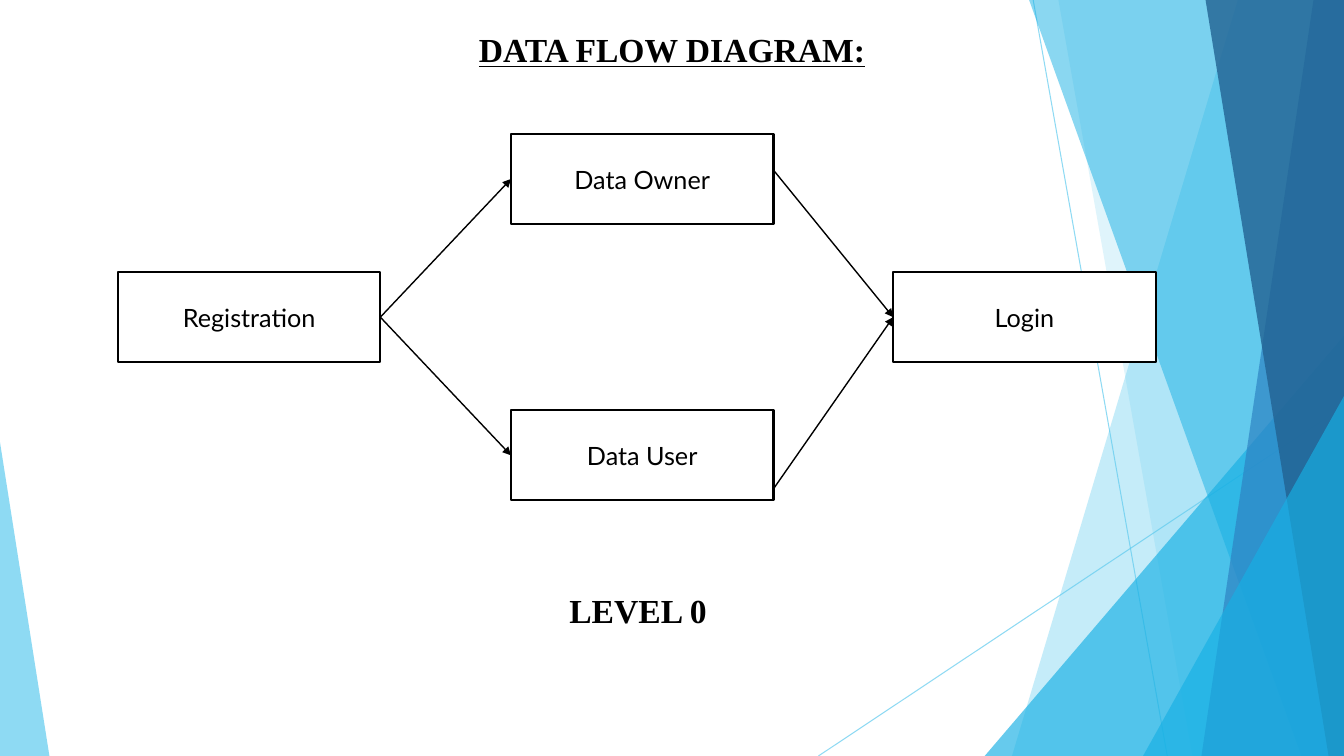
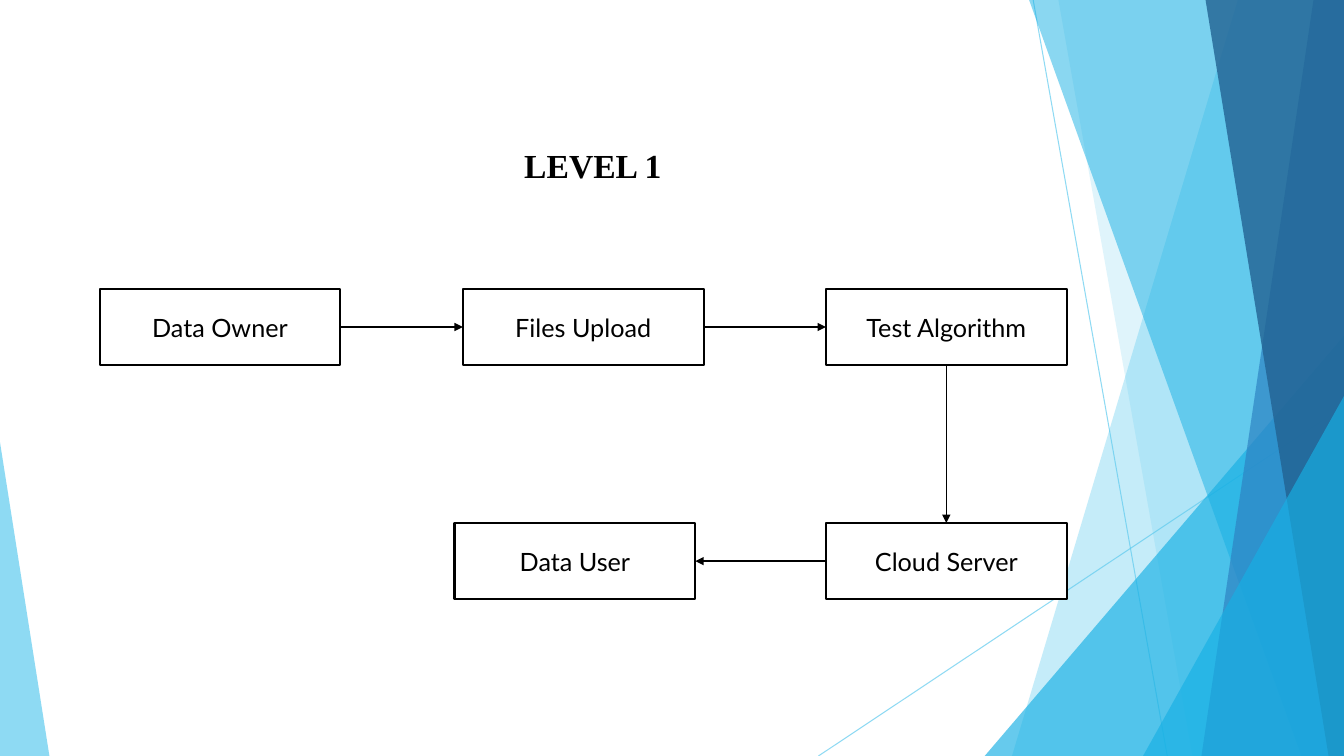
from lxml import etree
from pptx import Presentation
from pptx.dml.color import RGBColor
from pptx.enum.shapes import MSO_CONNECTOR, MSO_SHAPE
from pptx.enum.text import MSO_ANCHOR, MSO_AUTO_SIZE, PP_ALIGN
from pptx.oxml.ns import qn
from pptx.util import Pt

STRAIGHT = MSO_CONNECTOR.STRAIGHT
RECTANGLE, TRIANGLE = MSO_SHAPE.RECTANGLE, MSO_SHAPE.ISOSCELES_TRIANGLE
MIDDLE, GROW = MSO_ANCHOR.MIDDLE, MSO_AUTO_SIZE.SHAPE_TO_FIT_TEXT
LEFT, CENTER = PP_ALIGN.LEFT, PP_ALIGN.CENTER
SIDE_TOP, SIDE_LEFT, SIDE_BOTTOM, SIDE_RIGHT = range(4)

WIDTH, HEIGHT = 960, 540
BLACK, WHITE = "000000", "FFFFFF"
SKY, CYAN, BLUE, NAVY = "5FCBEF", "17B0E4", "2E83C3", "226292"
HEADING_FONT, BOX_FONT = "Times New Roman", "Lato"


def paint(fill, colour):
    fill.solid()
    fill.fore_color.rgb = RGBColor.from_string(colour)


def add_line(slide, start, end, colour, width):
    line = slide.shapes.add_connector(STRAIGHT, *[Pt(value) for value in (*start, *end)])
    paint(line.line.fill, colour)
    line.line.width = Pt(width)
    etree.SubElement(line.element.spPr, qn("a:effectLst"))
    return line


presentation = Presentation()
presentation.slide_width, presentation.slide_height = Pt(WIDTH), Pt(HEIGHT)
layout = presentation.slide_layouts[6]
for placeholder in list(layout.placeholders):
    layout.shapes.element.remove(placeholder.element)
first_slide = presentation.slides.add_slide(layout)
second_slide = presentation.slides.add_slide(layout)

# Shared decoration: thin lines, then facets from back to front
decoration = []
for start, end in [((738, 0), (833.8, HEIGHT)), ((WIDTH, 290.2), (584.6, HEIGHT))]:
    decoration.append((add_line(first_slide, start, end, SKY, 0.75), 70))

# A band gives its left edge at top and bottom; a triangle gives left, top, width, apex
facets = [
    (SKY, 36, (884.2, 722.9)),
    (SKY, 20, (756, 851.8)),
    (CYAN, 66, (703.4, 239.8, 256.6, 1)),
    (CYAN, 50, (735.1, 929.5)),
    (BLUE, 70, (938.2, 858.2)),
    (NAVY, 80, (861.1, 949)),
    (CYAN, 66, (816.5, 283, 143.5, 1)),
    (SKY, 70, (0, 316, 35.3, 0)),
]
for colour, opacity, geometry in facets:
    if len(geometry) == 2:
        top_x, bottom_x = geometry
        builder = first_slide.shapes.build_freeform(Pt(top_x), 0)
        corners = [(WIDTH, 0), (WIDTH, HEIGHT), (bottom_x, HEIGHT)]
        builder.add_line_segments([(Pt(x), Pt(y)) for x, y in corners])
        facet = builder.convert_to_shape()
    else:
        left, top, width, apex = geometry
        facet = first_slide.shapes.add_shape(
            TRIANGLE, Pt(left), Pt(top), Pt(width), Pt(HEIGHT - top))
        facet.adjustments[0] = apex
    paint(facet.fill, colour)
    facet.line.fill.background()
    facet.shadow.inherit = False
    decoration.append((facet, opacity))

# Make the decoration translucent and hand it to the layout
for shape, opacity in decoration:
    colour_element = shape.element.spPr.find(".//" + qn("a:srgbClr"))
    etree.SubElement(colour_element, qn("a:alpha"), val=str(opacity * 1000))
    layout.shapes.element.append(shape.element)

# Content: headings, box size, boxes, joined arrows, arrows with a free start
diagrams = [
    {
        "slide": first_slide,
        "headings": [
            ("DATA FLOW DIAGRAM:", (240, 13, 480, 39), CENTER, True, 1.15),
            ("LEVEL 0", (399.6, 417.6, 216.7, 36), LEFT, False, 1),
        ],
        "box_size": (187.5, 64.5),
        "boxes": {
            "Data Owner": (365, 95.6),
            "Registration": (84.2, 194.3),
            "Login": (638, 194.3),
            "Data User": (365, 293),
        },
        "arrows": [
            ("Registration", SIDE_RIGHT, "Data User", SIDE_LEFT),
            ("Registration", SIDE_RIGHT, "Data Owner", SIDE_LEFT),
        ],
        "free_arrows": [
            ((552.5, 349.2), "Login", SIDE_LEFT),
            ((552.5, 121.5), "Login", SIDE_LEFT),
        ],
    },
    {
        "slide": second_slide,
        "headings": [("LEVEL 1", (293.5, 100.3, 260, 36), CENTER, False, 1)],
        "box_size": (172, 54.4),
        "boxes": {
            "Data Owner": (71.2, 206.4),
            "Files Upload": (330.6, 206.4),
            "Test Algorithm": (590, 206.4),
            "Cloud Server": (590, 373.6),
            "Data User": (324.7, 373.6),
        },
        "arrows": [
            ("Data Owner", SIDE_RIGHT, "Files Upload", SIDE_LEFT),
            ("Files Upload", SIDE_RIGHT, "Test Algorithm", SIDE_LEFT),
            ("Test Algorithm", SIDE_BOTTOM, "Cloud Server", SIDE_TOP),
            ("Cloud Server", SIDE_LEFT, "Data User", SIDE_RIGHT),
        ],
        "free_arrows": [],
    },
]

for diagram in diagrams:
    slide = diagram["slide"]

    # Headings
    for text, frame, alignment, underline, spacing in diagram["headings"]:
        heading = slide.shapes.add_textbox(*[Pt(value) for value in frame])
        heading.text_frame.word_wrap = True
        heading.text_frame.auto_size = GROW
        paragraph = heading.text_frame.paragraphs[0]
        paragraph.text = text
        paragraph.alignment = alignment
        paragraph.line_spacing = spacing
        paragraph.font.name = HEADING_FONT
        paragraph.font.size = Pt(24)
        paragraph.font.bold = True
        paragraph.font.underline = underline
        paint(paragraph.font.fill, BLACK)

    # Boxes
    boxes = {}
    for text, position in diagram["boxes"].items():
        frame = (*position, *diagram["box_size"])
        box = slide.shapes.add_shape(RECTANGLE, *[Pt(value) for value in frame])
        box.shadow.inherit = False
        paint(box.fill, WHITE)
        paint(box.line.fill, BLACK)
        box.line.width = Pt(1.5)
        box.text_frame.word_wrap = True
        box.text_frame.vertical_anchor = MIDDLE
        paragraph = box.text_frame.paragraphs[0]
        paragraph.text = text
        paragraph.alignment = CENTER
        paragraph.font.name = BOX_FONT
        paragraph.font.size = Pt(18)
        paint(paragraph.font.fill, BLACK)
        boxes[text] = box

    # Arrows
    arrows = []
    for source, source_side, target, target_side in diagram["arrows"]:
        arrow = add_line(slide, (0, 0), (0, 0), BLACK, 1)
        arrow.begin_connect(boxes[source], source_side)
        arrow.end_connect(boxes[target], target_side)
        arrows.append(arrow)
    for start, target, target_side in diagram["free_arrows"]:
        arrow = add_line(slide, start, start, BLACK, 1)
        arrow.end_connect(boxes[target], target_side)
        arrows.append(arrow)
    for arrow in arrows:
        outline = arrow.element.spPr.find(qn("a:ln"))
        etree.SubElement(outline, qn("a:tailEnd"), type="triangle")

presentation.save("out.pptx")
